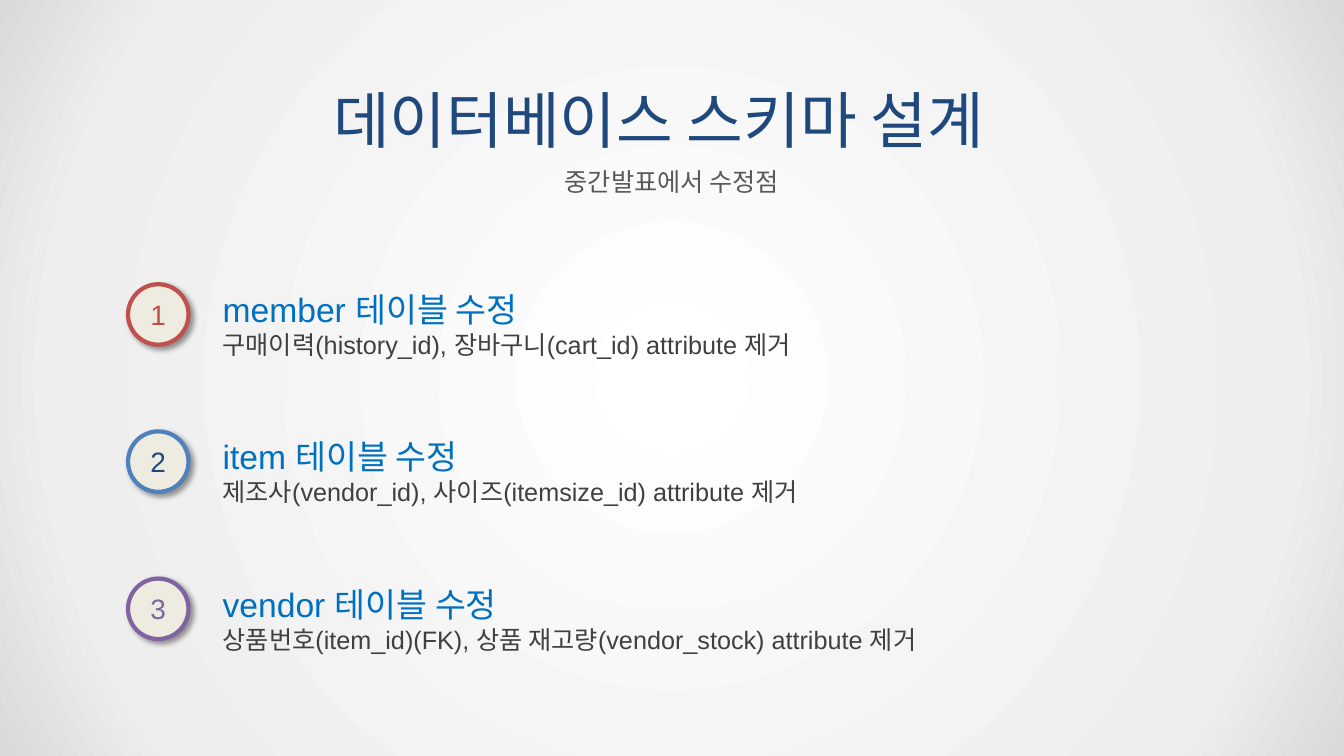
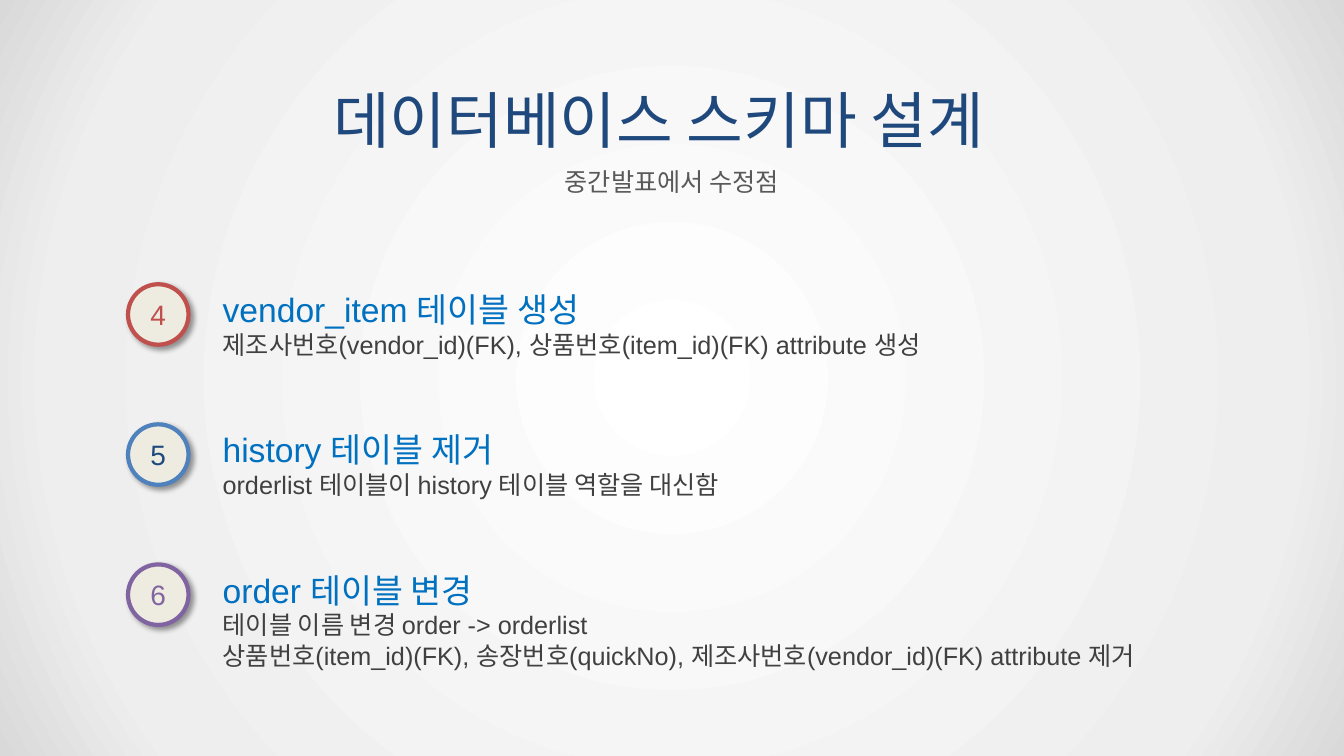
from pptx import Presentation
from pptx import util as u
from pptx.dml import color
from pptx.enum import shapes, text
from pptx.oxml import parse_xml
from pptx.oxml.ns import nsdecls, qn

PX = 9144
FONT = "Arial"
HUES = {
    "navy": "1F497D", "blue": "0070C0", "dark": "404040", "gray": "595959",
    "cream": "EEECE1", "red": "C0504D", "sky": "4F81BD", "plum": "8064A2",
    "white": "FFFFFF", "mist": "EEEEEE", "edge": "D9D9D9", "black": "000000",
}
STOPS = ((0, "white"), (81, "mist"), (100, "edge"))
RINGS = (("red", "red"), ("sky", "navy"), ("plum", "plum"))
TITLE = {"size": 44, "hue": "navy"}
SUB = {"size": 18, "hue": "gray"}
HEAD = {"size": 24, "hue": "blue"}
NOTE = {"size": 18, "hue": "dark"}
FRAME = {"word_wrap": True, "auto_size": text.MSO_AUTO_SIZE.NONE}
CENTER = text.PP_ALIGN.CENTER
LEFT = text.PP_ALIGN.LEFT
TOP = text.MSO_ANCHOR.TOP
MID = text.MSO_ANCHOR.MIDDLE

SLIDES = (
    (146, (
        (606, "member 테이블 수정",
         "구매이력(history_id), 장바구니(cart_id) attribute 제거"),
        (614, "item 테이블 수정",
         "제조사(vendor_id), 사이즈(itemsize_id) attribute 제거"),
        (742, "vendor 테이블 수정",
         "상품번호(item_id)(FK), 상품 재고량(vendor_stock) attribute 제거"),
    )),
    (139, (
        (742, "vendor_item 테이블 생성",
         "제조사번호(vendor_id)(FK), 상품번호(item_id)(FK) attribute 생성"),
        (614, "history 테이블 제거",
         "orderlist 테이블이 history 테이블 역할을 대신함"),
        (959, "order 테이블 변경",
         "테이블 이름 변경 order -> orderlist",
         "상품번호(item_id)(FK), 송장번호(quickNo), 제조사번호(vendor_id)(FK) attribute 제거"),
    )),
)


def rgb(hue):
    return color.RGBColor.from_string(HUES[hue])


def apply(obj, style):
    for key, val in style.items():
        setattr(obj, key, val)


def place(shape, box):
    apply(shape, dict(zip(("left", "top", "width", "height"),
                          (n * PX for n in box))))


def write(shape, rows, align=LEFT, anchor=TOP):
    frame = shape.text_frame
    apply(frame, {**FRAME, "vertical_anchor": anchor})
    frame.text = "\n".join(row for row, _ in rows)
    for para, (_, style) in zip(frame.paragraphs, rows):
        apply(para, {"alignment": align, "space_before": u.Pt(0)})
        font = para.runs[0].font
        apply(font, {"name": FONT, "size": u.Pt(style["size"])})
        font.color.rgb = rgb(style["hue"])


def paint(master):
    master.background.fill.gradient()
    grad = master.element.find(".//" + qn("a:gradFill"))
    stops = "".join(
        f'<a:gs pos="{pos * 1000}"><a:srgbClr val="{HUES[hue]}"/></a:gs>'
        for pos, hue in STOPS)
    grad.getparent().replace(grad, parse_xml(
        f'<a:gradFill {nsdecls("a")} rotWithShape="1"><a:gsLst>{stops}</a:gsLst>'
        '<a:path path="circle"><a:fillToRect l="50000" t="50000" r="50000" '
        'b="50000"/></a:path></a:gradFill>'))


def shade(shape):
    shape.shadow.inherit = False
    shape.element.spPr.find(qn("a:effectLst")).append(parse_xml(
        f'<a:outerShdw {nsdecls("a")} blurRad="{u.Pt(4)}" dist="{u.Pt(3)}" '
        'dir="2700000" algn="tl" rotWithShape="0">'
        f'<a:srgbClr val="{HUES["black"]}"><a:alpha val="40000"/></a:srgbClr>'
        '</a:outerShdw>'))


def header(slide):
    title, sub = slide.placeholders
    place(title, (285, 76, 737, 84))
    write(title, [("데이터베이스 스키마 설계", TITLE)], CENTER)
    place(sub, (261, 160, 811, 40))
    write(sub, [("중간발표에서 수정점", SUB)], CENTER)


def badge(slide, x, y, num, ring, ink):
    dot = slide.shapes.add_shape(shapes.MSO_SHAPE.OVAL, 0, 0, 0, 0)
    place(dot, (x, y, 60, 60))
    dot.fill.solid()
    dot.fill.fore_color.rgb = rgb(cream)
    dot.line.color.rgb = rgb(ring)
    dot.line.width = u.Pt(3)
    shade(dot)
    write(dot, [(str(num), {"size": 20, "hue": ink})], CENTER, MID)


def item(slide, x, y, num, hues, wide, head, *notes):
    note = slide.shapes.add_textbox(0, 0, 0, 0)
    place(note, (x + 84, y, wide, 51 + 30 * len(notes)))
    write(note, [(head, HEAD)] + [(row, NOTE) for row in notes])
    badge(slide, x, y, num, *hues)


def build(deck, first, step, items):
    slide = deck.slides.add_slide(deck.slide_layouts[0])
    header(slide)
    for i, (hues, parts) in enumerate(zip(RINGS, items)):
        item(slide, 127, 282 + i * step, first + i, hues, *parts)


def main():
    deck = Presentation()
    apply(deck, {"slide_width": 1333 * PX, "slide_height": 750 * PX})
    paint(deck.slide_master)
    first = 1
    for step, items in SLIDES:
        build(deck, first, step, items)
        first += len(items)
    deck.save("out.pptx")


cream = "cream"

if __name__ == "__main__":
    main()
